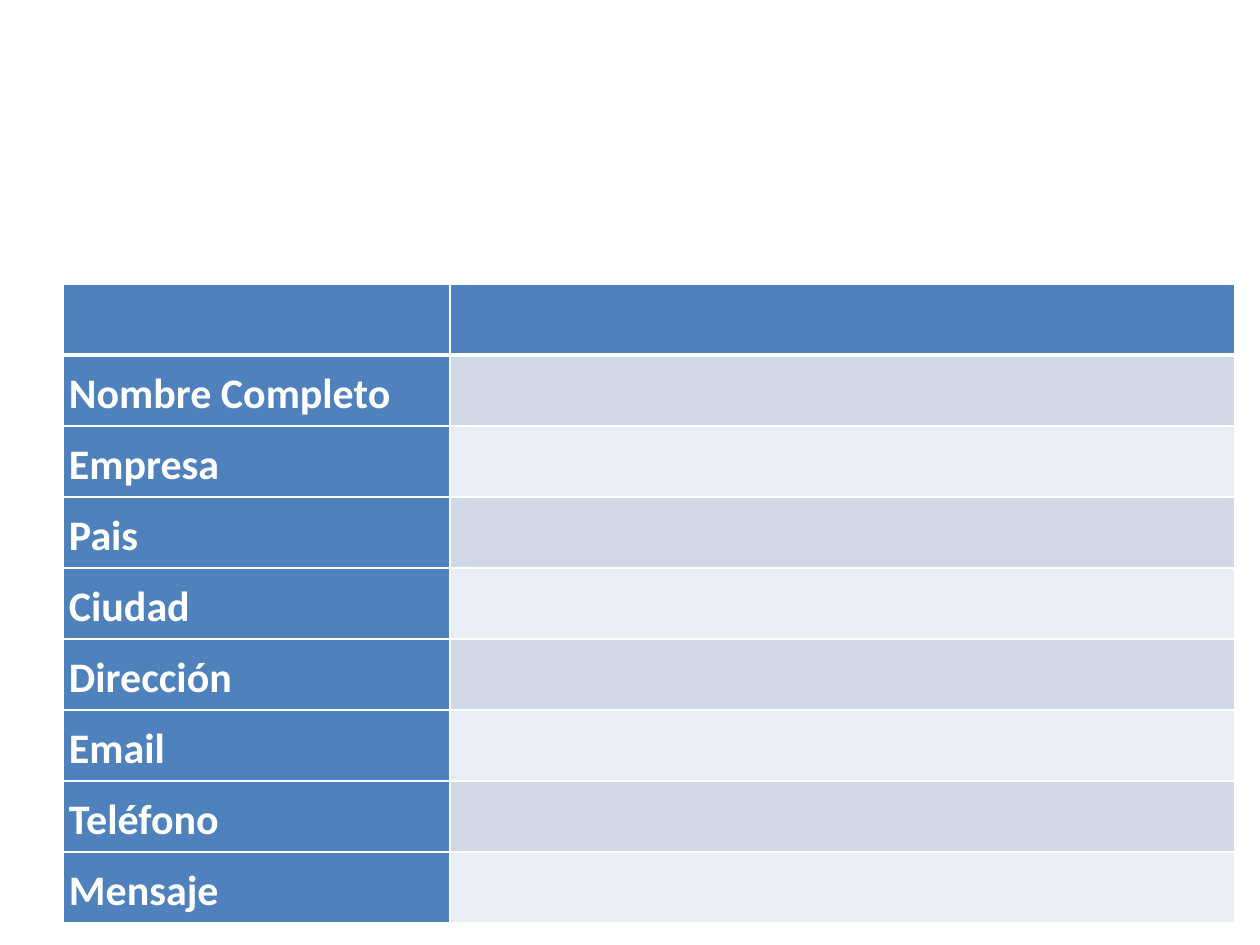
from lxml.etree import SubElement as Sub
from pptx import Presentation
from pptx.dml.color import RGBColor as RGB
from pptx.enum.text import MSO_ANCHOR as Anchor
from pptx.oxml.ns import qn
from pptx.util import Emu, Pt

SCALE = 914400 / 126
COLORS = {"head": "4F81BD", "odd": "D0D8E8", "even": "E9EDF4", "line": "FFFFFF", "text": "FFFFFF"}
LABELS = ["", "Nombre Completo", "Empresa", "Pais", "Ciudad",
          "Dirección", "Email", "Teléfono", "Mensaje"]
WIDTHS = [387, 785]
ROW = 71


def px(n):
    return Emu(round(n * SCALE))


def style(cell, fill, top, bottom):
    """Fill a cell and draw its borders, with top and bottom widths in points."""
    props = cell._tc.get_or_add_tcPr()
    for side, width in (("L", 1), ("R", 1), ("T", top), ("B", bottom)):
        line = Sub(props, qn(f"a:ln{side}"), w=str(Pt(width)))
        solid = Sub(line, qn("a:solidFill"))
        Sub(solid, qn("a:srgbClr"), val=COLORS["line"])
    cell.fill.solid()
    cell.fill.fore_color.rgb = RGB.from_string(COLORS[fill])


deck = Presentation()
deck.slide_width, deck.slide_height = px(1260), px(945)
slide = deck.slides.add_slide(deck.slide_layouts[6])

count = len(LABELS)
frame = slide.shapes.add_table(count, 2, px(63), px(284), px(sum(WIDTHS)), px(ROW * count))
table = frame.table
for col, width in zip(table.columns, WIDTHS):
    col.width = px(width)

for i, label in enumerate(LABELS):
    table.rows[i].height = px(ROW)
    name, entry = table.cell(i, 0), table.cell(i, 1)
    band = "head" if i == 0 else "odd" if i % 2 else "even"
    for cell, fill in ((name, "head"), (entry, band)):
        style(cell, fill, top=3 if i == 1 else 1, bottom=3 if i == 0 else 1)
    if not label:
        continue
    name.vertical_anchor = Anchor.MIDDLE
    name.margin_left = name.margin_top = name.margin_bottom = px(6)
    name.margin_right = px(1)
    name.text_frame.text = label
    para = name.text_frame.paragraphs[0]
    para.line_spacing = 1.15
    font = para.runs[0].font
    font.name, font.size, font.bold = "Calibri", Pt(24), True
    font.color.rgb = RGB.from_string(COLORS["text"])

deck.save("out.pptx")
